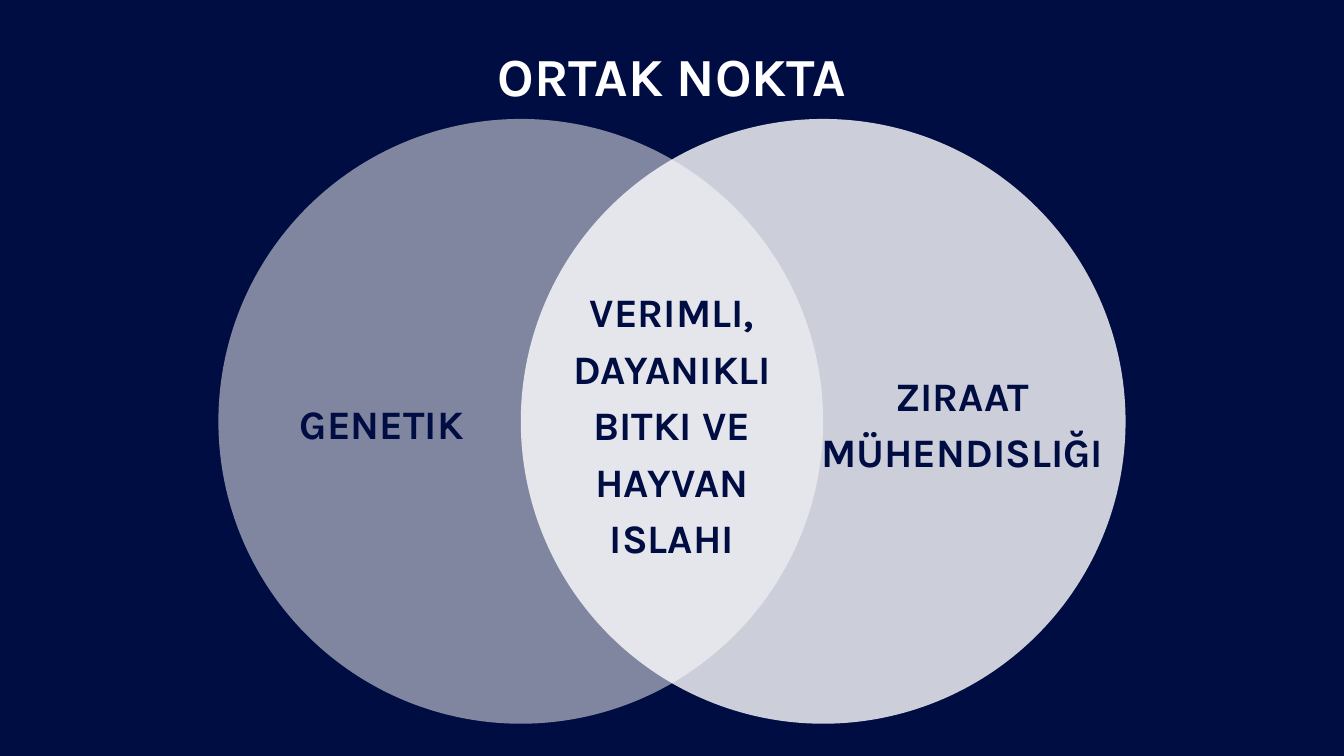
import pptx
import pptx.dml.color
import pptx.enum.shapes
import pptx.enum.text
import pptx.oxml
import pptx.oxml.ns
import pptx.util

TITLE = "ORTAK NOKTA"
# (text, lines, distance of its centre from the slide centre, box width)
LABELS = [
    ("GENETIK", 1, -4.32, 5.72),
    ("ZIRAAT MÜHENDISLIĞI", 2, 4.32, 5.72),
    ("VERIMLI, DAYANIKLI BITKI VE HAYVAN ISLAHI", 5, 0, 4.06),
]
# (side of the slide centre, opacity in percent), back to front
CIRCLES = [(1, 80), (-1, 50)]

THEME = {
    "navy": pptx.dml.color.RGBColor.from_string("000D42"),
    "white": pptx.dml.color.RGBColor.from_string("FFFFFF"),
    "font": "Karla",
    "title": {"size": 57.4, "spacing": 68.9},
    "label": {"size": 43.3, "spacing": 60.6},
}

WIDTH, HEIGHT = 20, 11.25
CENTRE = WIDTH / 2
DIAMETER = 9
CIRCLE_TOP = 1.77
CIRCLE_OFFSET = DIAMETER / 4  # each circle reaches the other's centre
LABEL_MIDDLE = 6.22
FIRST_LINE, NEXT_LINE = 0.81, 0.83


def inches(*lengths):
    return [pptx.util.Inches(length) for length in lengths]


def write(shape, text, style, color):
    frame = shape.text_frame
    frame_format = {
        "margin_left": 0, "margin_top": 0, "margin_right": 0, "margin_bottom": 0,
        "word_wrap": True,
        "auto_size": pptx.enum.text.MSO_AUTO_SIZE.NONE,
        "vertical_anchor": pptx.enum.text.MSO_ANCHOR.TOP,
    }
    for name, value in frame_format.items():
        setattr(frame, name, value)
    paragraph = frame.paragraphs[0]
    paragraph.alignment = pptx.enum.text.PP_ALIGN.CENTER
    paragraph.line_spacing = pptx.util.Pt(style["spacing"])
    run = paragraph.add_run()
    run.text = text
    font_format = {"name": THEME["font"], "size": pptx.util.Pt(style["size"]), "bold": True}
    for name, value in font_format.items():
        setattr(run.font, name, value)
    run.font.color.rgb = color


def add_circle(slide, side, opacity):
    left = CENTRE + side * CIRCLE_OFFSET - DIAMETER / 2
    circle = slide.shapes.add_shape(
        pptx.enum.shapes.MSO_SHAPE.OVAL, *inches(left, CIRCLE_TOP, DIAMETER, DIAMETER))
    circle.shadow.inherit = False
    circle.line.fill.background()
    circle.fill.solid()
    circle.fill.fore_color.rgb = THEME["white"]
    color = circle.fill._xPr.find(".//" + pptx.oxml.ns.qn("a:srgbClr"))
    alpha = pptx.oxml.parse_xml(
        f'<a:alpha {pptx.oxml.ns.nsdecls("a")} val="{opacity * 1000}"/>')
    color.append(alpha)


def add_label(slide, text, lines, offset, width):
    height = FIRST_LINE + (lines - 1) * NEXT_LINE
    box = slide.shapes.add_textbox(
        *inches(CENTRE + offset - width / 2, LABEL_MIDDLE - height / 2, width, height))
    write(box, text, THEME["label"], THEME["navy"])


def main():
    presentation = pptx.Presentation()
    presentation.slide_width, presentation.slide_height = inches(WIDTH, HEIGHT)
    slide = presentation.slides.add_slide(presentation.slide_layouts.get_by_name("Title Only"))
    slide.background.fill.solid()
    slide.background.fill.fore_color.rgb = THEME["navy"]

    title = slide.shapes.title
    title.left, title.top, title.width, title.height = inches(4.4, 0.64, 11.2, 0.95)
    write(title, TITLE, THEME["title"], THEME["white"])

    for circle in CIRCLES:
        add_circle(slide, *circle)
    for label in LABELS:
        add_label(slide, *label)
    presentation.save("out.pptx")


if __name__ == "__main__":
    main()
